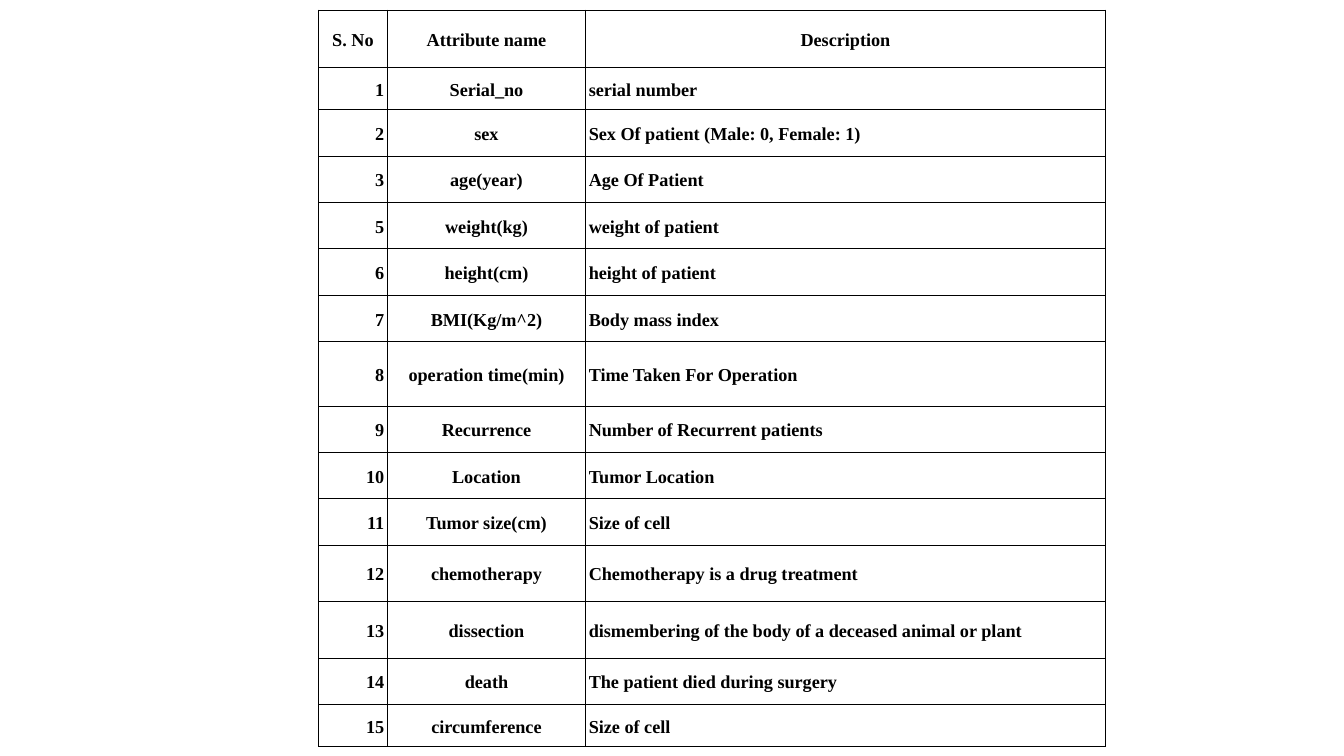
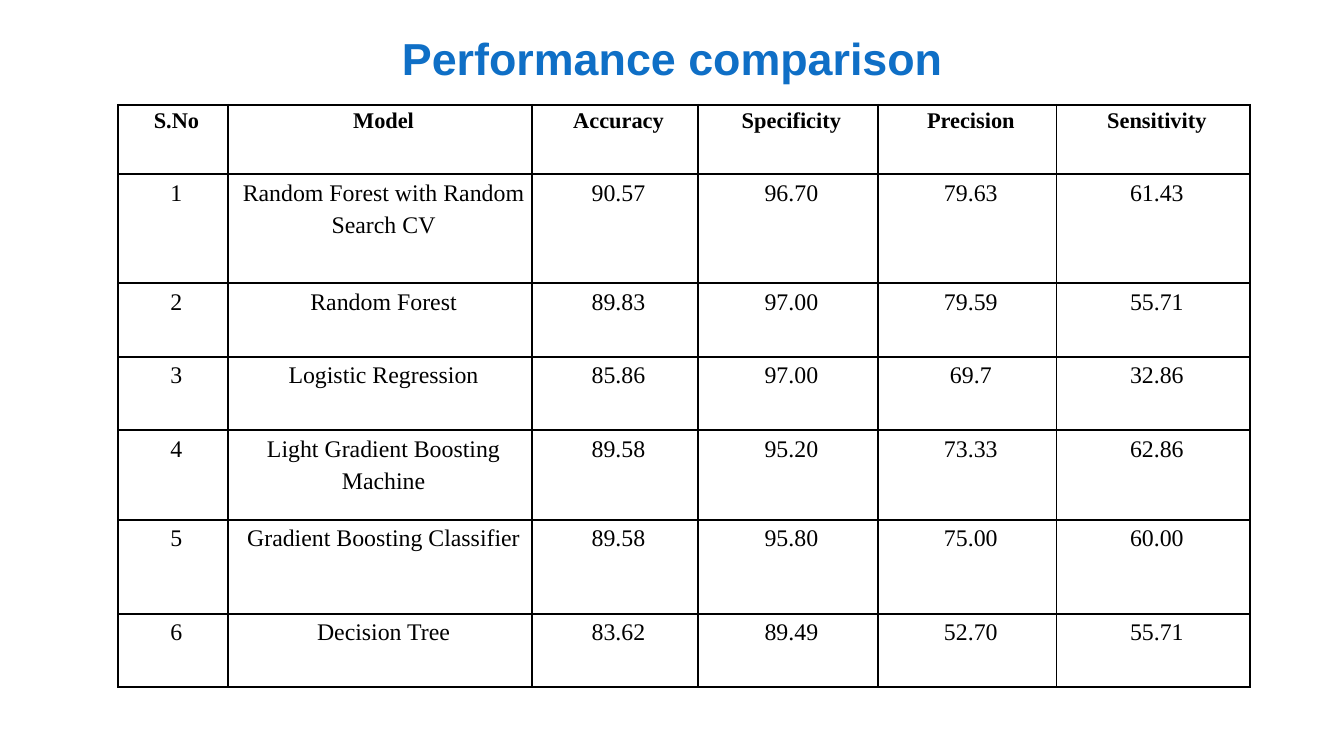
from dataclasses import dataclass

from lxml.etree import SubElement
from pptx import Presentation
from pptx.dml.color import RGBColor
from pptx.enum.text import MSO_ANCHOR, MSO_AUTO_SIZE, PP_ALIGN
from pptx.oxml.ns import qn
from pptx.util import Inches, Pt

TITLE_ONLY, BLANK = 5, 6


@dataclass(frozen=True)
class Theme:
    title_color: str = "0F6FC6"
    ink: str = "000000"
    paper: str = "FFFFFF"
    title_font: str = "Arial"
    table_font: str = "Times New Roman"
    title_size: int = 32
    attribute_size: int = 13
    score_header_size: int = 16
    score_size: int = 17


@dataclass(frozen=True)
class TableStyle:
    """Header and body pairs hold the header row first, then all other rows."""
    sizes: tuple
    bolds: tuple
    line_spacings: tuple
    body_alignments: tuple
    anchor: MSO_ANCHOR
    side_inset: float
    vertical_inset: float
    indent: float
    border_width: float


THEME = Theme()

ATTRIBUTE_STYLE = TableStyle(
    sizes=(THEME.attribute_size, THEME.attribute_size),
    bolds=(True, True),
    line_spacings=(1.15, 1.15),
    body_alignments=(PP_ALIGN.RIGHT, PP_ALIGN.CENTER, PP_ALIGN.LEFT),
    anchor=MSO_ANCHOR.MIDDLE,
    side_inset=0.03, vertical_inset=0.09, indent=0, border_width=0.75,
)
SCORE_STYLE = TableStyle(
    sizes=(THEME.score_header_size, THEME.score_size),
    bolds=(True, False),
    line_spacings=(1.14, 1.21),
    body_alignments=(PP_ALIGN.CENTER,) * 6,
    anchor=MSO_ANCHOR.TOP,
    side_inset=0, vertical_inset=0, indent=0.07, border_width=1.5,
)

ATTRIBUTES = [
    ("S. No", "Attribute name", "Description"),
    ("1", "Serial_no", "serial number"),
    ("2", "sex", "Sex Of patient (Male: 0, Female: 1)"),
    ("3", "age(year)", "Age Of Patient"),
    ("5", "weight(kg)", "weight of patient"),
    ("6", "height(cm)", "height of patient"),
    ("7", "BMI(Kg/m^2)", "Body mass index"),
    ("8", "operation time(min)", "Time Taken For Operation"),
    ("9", "Recurrence", "Number of Recurrent patients"),
    ("10", "Location", "Tumor Location"),
    ("11", "Tumor size(cm)", "Size of cell"),
    ("12", "chemotherapy", "Chemotherapy is a drug treatment"),
    ("13", "dissection", "dismembering of the body of a deceased animal or plant"),
    ("14", "death", "The patient died during surgery"),
    ("15", "circumference", "Size of cell"),
]
ATTRIBUTE_HEIGHTS = [0.57, 0.42, *[0.46] * 5, 0.64, *[0.46] * 3, 0.56, 0.56, 0.46, 0.42]

SCORES = [
    ("S.No", "Model", "Accuracy", "Specificity", "Precision", "Sensitivity"),
    ("1", "Random Forest with Random Search CV", "90.57", "96.70", "79.63", "61.43"),
    ("2", "Random Forest", "89.83", "97.00", "79.59", "55.71"),
    ("3", "Logistic Regression", "85.86", "97.00", "69.7", "32.86"),
    ("4", "Light Gradient Boosting Machine", "89.58", "95.20", "73.33", "62.86"),
    ("5", "Gradient Boosting Classifier", "89.58", "95.80", "75.00", "60.00"),
    ("6", "Decision Tree", "83.62", "89.49", "52.70", "55.71"),
]
SCORE_HEIGHTS = [0.69, 1.08, 0.73, 0.73, 0.89, 0.93, 0.73]


def apply_format(target, values):
    for name, value in values.items():
        setattr(target, name, value)


class Deck:
    def __init__(self, theme):
        self.theme = theme
        self.presentation = Presentation()
        self.presentation.slide_width = Inches(13.33)
        self.presentation.slide_height = Inches(7.5)
        self.slide = None

    def add_slide(self, layout_index):
        layout = self.presentation.slide_layouts[layout_index]
        self.slide = self.presentation.slides.add_slide(layout)

    def format_font(self, font, name, size, color, bold):
        apply_format(font, {"name": name, "size": Pt(size), "bold": bold})
        font.color.rgb = RGBColor.from_string(color)

    def add_title(self, text, left, top, width, height):
        title = self.slide.shapes.title
        apply_format(title, {
            "left": Inches(left), "top": Inches(top),
            "width": Inches(width), "height": Inches(height),
        })
        frame = title.text_frame
        frame.text = text
        apply_format(frame, {
            "word_wrap": True,
            "auto_size": MSO_AUTO_SIZE.SHAPE_TO_FIT_TEXT,
            "vertical_anchor": MSO_ANCHOR.MIDDLE,
        })
        paragraph = frame.paragraphs[0]
        paragraph.alignment = PP_ALIGN.CENTER
        theme = self.theme
        self.format_font(paragraph.runs[0].font, theme.title_font,
                         theme.title_size, theme.title_color, True)

    def add_table(self, left, top, widths, heights, rows, style):
        shape = self.slide.shapes.add_table(
            len(rows), len(widths), Inches(left), Inches(top),
            Inches(sum(widths)), Inches(sum(heights)))
        table = shape.table
        apply_format(table, {"first_row": False, "horz_banding": False})
        for column, width in zip(table.columns, widths):
            column.width = Inches(width)
        for row, height in zip(table.rows, heights):
            row.height = Inches(height)
        for row_index, texts in enumerate(rows):
            for column_index, text in enumerate(texts):
                cell = table.cell(row_index, column_index)
                self.fill_cell(cell, text, style, row_index == 0, column_index)

    def fill_cell(self, cell, text, style, is_header, column_index):
        side, vertical = Inches(style.side_inset), Inches(style.vertical_inset)
        apply_format(cell, {
            "text": text, "vertical_anchor": style.anchor,
            "margin_left": side, "margin_right": side,
            "margin_top": vertical, "margin_bottom": vertical,
        })
        self.add_borders(cell, style.border_width)
        cell.fill.solid()
        cell.fill.fore_color.rgb = RGBColor.from_string(self.theme.paper)

        part = 0 if is_header else 1
        alignment = PP_ALIGN.CENTER if is_header else style.body_alignments[column_index]
        paragraph = cell.text_frame.paragraphs[0]
        apply_format(paragraph, {
            "alignment": alignment, "line_spacing": style.line_spacings[part],
        })
        paragraph._p.get_or_add_pPr().set("marL", str(Inches(style.indent)))
        self.format_font(paragraph.runs[0].font, self.theme.table_font,
                         style.sizes[part], self.theme.ink, style.bolds[part])

    def add_borders(self, cell, width):
        properties = cell._tc.get_or_add_tcPr()
        for side in ("lnL", "lnR", "lnT", "lnB"):
            line = SubElement(properties, qn(f"a:{side}"), w=str(Pt(width)))
            fill = SubElement(line, qn("a:solidFill"))
            SubElement(fill, qn("a:srgbClr"), val=self.theme.ink)


def main():
    deck = Deck(THEME)

    deck.add_slide(BLANK)
    deck.add_table(3.16, 0.1, [0.68, 1.97, 5.15], ATTRIBUTE_HEIGHTS,
                   ATTRIBUTES, ATTRIBUTE_STYLE)

    deck.add_slide(TITLE_ONLY)
    deck.add_title("Performance comparison", 3.56, 0.2, 6.22, 0.74)
    deck.add_table(1.17, 1.04, [1.09, 3.02, 1.64, 1.79, 1.77, 1.92], SCORE_HEIGHTS,
                   SCORES, SCORE_STYLE)

    deck.presentation.save("out.pptx")


if __name__ == "__main__":
    main()
